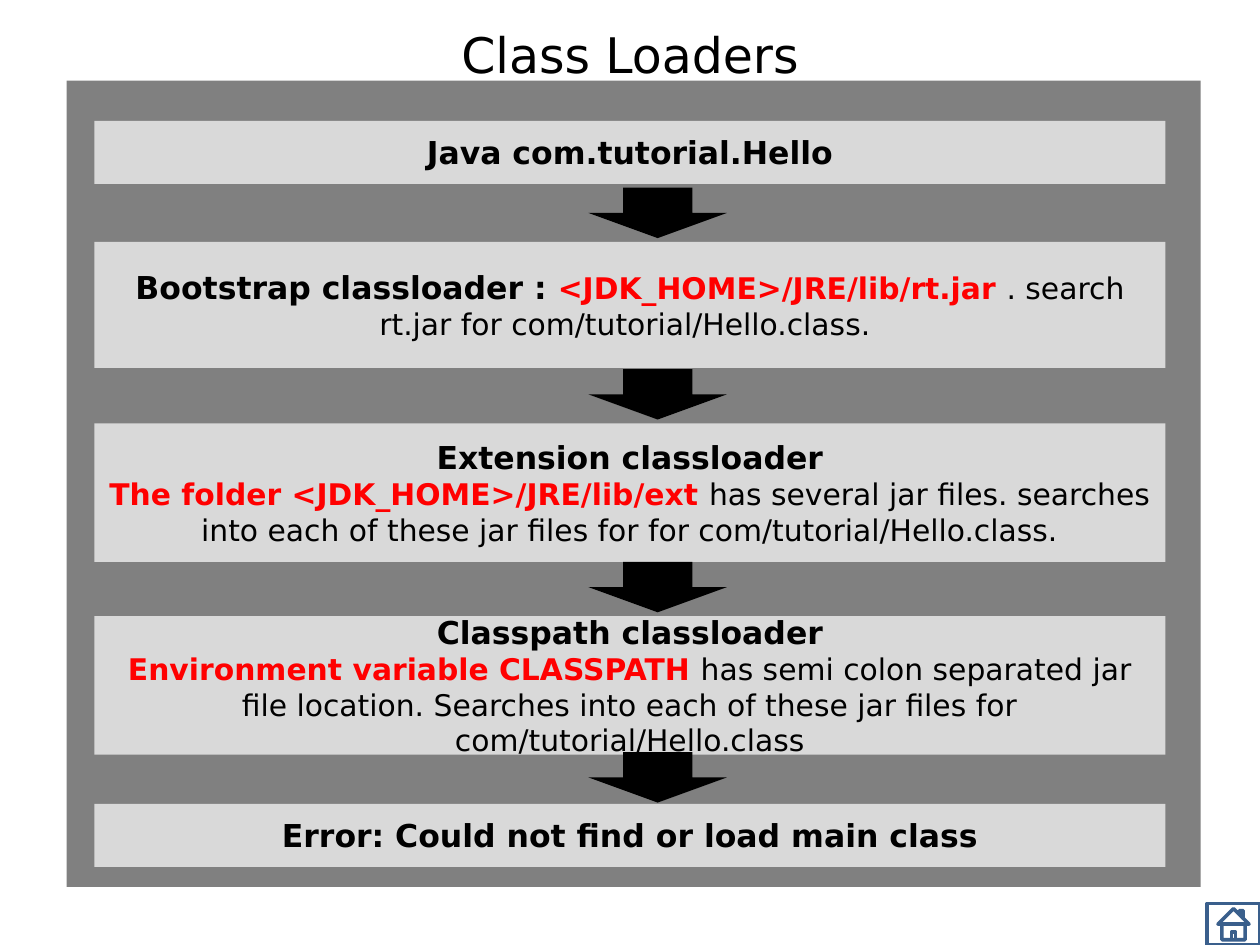
from dataclasses import dataclass

import pptx
import pptx.dml.color
import pptx.enum.shapes
import pptx.enum.text
import pptx.util

RGB = pptx.dml.color.RGBColor
KIND = pptx.enum.shapes.MSO_SHAPE
BLACK = RGB(0, 0, 0)
RED = RGB(255, 0, 0)
GRAY = RGB(128, 128, 128)
PALE = RGB(217, 217, 217)
BLUE = RGB(58, 95, 140)
FONT = "DejaVu Sans"
SCALE = 9144


@dataclass(frozen=True)
class Step:
    top: int
    high: int
    head: str
    key: str = ""
    body: str = ""
    split: bool = True


STEPS = [
    Step(96, 50, "Java com.tutorial.Hello"),
    Step(192, 100, "Bootstrap classloader : ", "<JDK_HOME>/JRE/lib/rt.jar ",
         ". search rt.jar for com/tutorial/Hello.class. ", split=False),
    Step(336, 110, "Extension classloader", "The folder <JDK_HOME>/JRE/lib/ext ",
         "has several jar files. searches into each of these jar files for "
         "for com/tutorial/Hello.class."),
    Step(489, 110, "Classpath classloader", "Environment variable CLASSPATH ",
         "has semi colon separated jar file location. Searches into each of "
         "these jar files for com/tutorial/Hello.class"),
    Step(638, 50, "Error: Could not find or load main class"),
]
ARROWS = [149, 293, 446, 597]


def px(*nums: int) -> list[pptx.util.Emu]:
    return [pptx.util.Emu(num * SCALE) for num in nums]


def write(para, text: str, *, size: int = 17, bold: bool = False,
          color: RGB = BLACK) -> None:
    para.alignment = pptx.enum.text.PP_ALIGN.CENTER
    run = para.add_run()
    run.text = text
    font = run.font
    font.name, font.size, font.bold = FONT, pptx.util.Pt(size), bold
    font.color.rgb = color


def draw(slide, kind: KIND, left: int, top: int, wide: int, high: int,
         fill: RGB | None = None, line: RGB | None = None):
    shape = slide.shapes.add_shape(kind, *px(left, top, wide, high))
    shape.shadow.inherit = False
    if fill is None:
        shape.fill.background()
    else:
        shape.fill.solid()
        shape.fill.fore_color.rgb = fill
    if line is None:
        shape.line.fill.background()
    else:
        shape.line.color.rgb = line
        shape.line.width = pptx.util.Pt(2)
    return shape


def place(slide, step: Step) -> None:
    box = draw(slide, KIND.RECTANGLE, 75, step.top, 850, step.high, PALE)
    frame = box.text_frame
    frame.word_wrap = True
    frame.vertical_anchor = pptx.enum.text.MSO_ANCHOR.MIDDLE
    para = frame.paragraphs[0]
    write(para, step.head, size=18, bold=True)
    if step.key:
        if step.split:
            para = frame.add_paragraph()
        write(para, step.key, bold=True, color=RED)
        write(para, step.body)


def main() -> None:
    deck = pptx.Presentation()
    deck.slide_width, deck.slide_height = px(1000, 750)
    slide = deck.slides.add_slide(deck.slide_layouts[5])
    title = slide.shapes.title
    title.left, title.top, title.width, title.height = px(50, 4, 900, 78)
    title.text_frame.vertical_anchor = pptx.enum.text.MSO_ANCHOR.MIDDLE
    write(title.text_frame.paragraphs[0], "Class Loaders", size=28)
    draw(slide, KIND.ACTION_BUTTON_HOME, 958, 717, 42, 33, line=BLUE)
    draw(slide, KIND.RECTANGLE, 53, 64, 900, 640, GRAY)
    for step in STEPS:
        place(slide, step)
    for top in ARROWS:
        draw(slide, KIND.DOWN_ARROW, 467, top, 110, 40, BLACK)
    deck.save("out.pptx")


if __name__ == "__main__":
    main()
